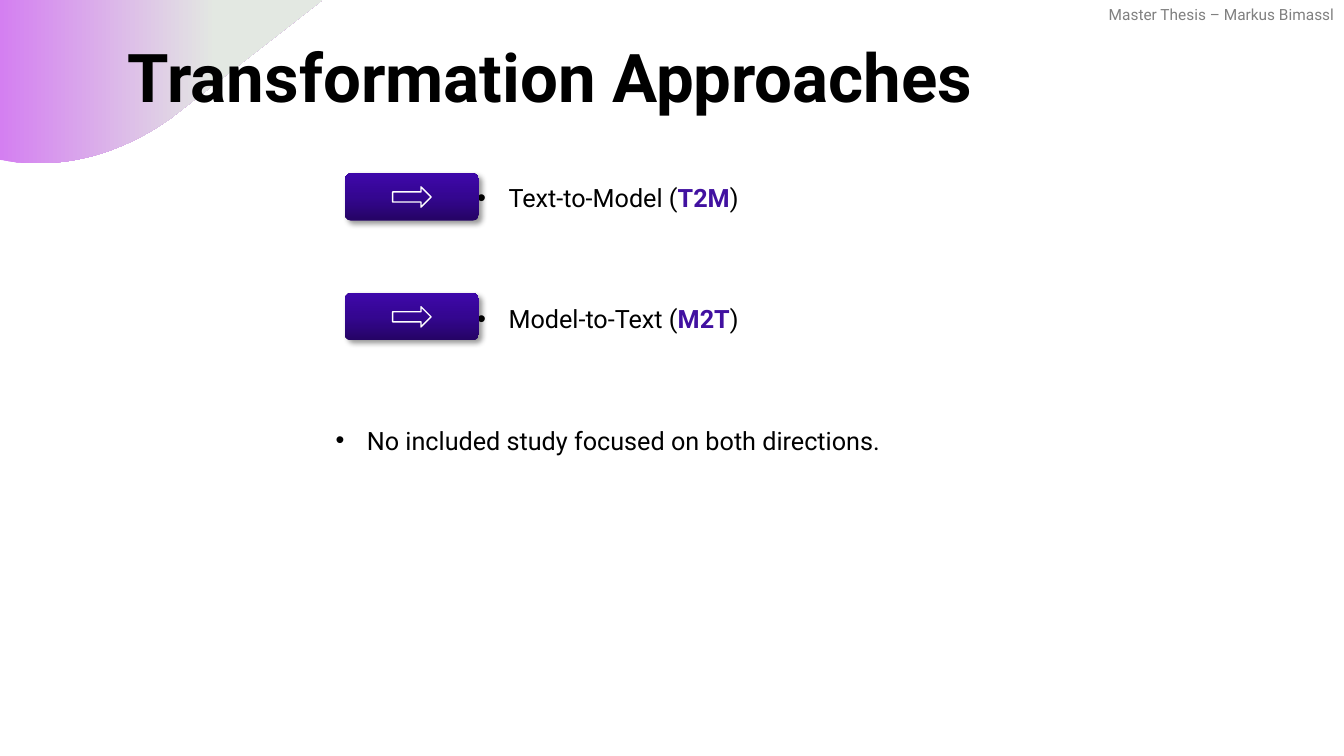
from lxml import etree
from pptx import Presentation
from pptx.dml.color import RGBColor
from pptx.enum.shapes import MSO_SHAPE
from pptx.enum.text import MSO_ANCHOR, MSO_AUTO_SIZE, PP_ALIGN
from pptx.oxml.ns import qn
from pptx.util import Cm, Pt

ROUNDED = MSO_SHAPE.ROUNDED_RECTANGLE
ARROW = MSO_SHAPE.RIGHT_ARROW
LEFT, CENTER, RIGHT = PP_ALIGN.LEFT, PP_ALIGN.CENTER, PP_ALIGN.RIGHT
TOP, BOTTOM = MSO_ANCHOR.TOP, MSO_ANCHOR.BOTTOM
NO_AUTOFIT = MSO_AUTO_SIZE.NONE

FONT = "Roboto"
BLACK, WHITE, GREY, VIOLET = "000000", "FFFFFF", "808080", "4111A0"
CORNER_STOPS = [(0, "D47FF1"), (67, "E3E8E2"), (100, "E3E8E2")]
BADGE_STOPS = [(0, "250465"), (50, "340690"), (100, "3E07AA")]
APPROACHES = [
    [("Text-to-Model (", False), ("T2M", True), (")", False)],
    [("Model-to-Text (", False), ("M2T", True), (")", False)],
    [("No included study focused on both directions.", False)],
]
BADGE_COUNT = 2
ROW_PITCH = 3.02


def color(value):
    """Return the colour for a hex string."""
    return RGBColor.from_string(value)


def place(shape, left, top, width, height):
    """Move and size a shape, in centimetres."""
    shape.left, shape.top = Cm(left), Cm(top)
    shape.width, shape.height = Cm(width), Cm(height)


def style(font, size, value, bold=False):
    """Set the face, size, colour and weight of a font."""
    font.name, font.size, font.bold = FONT, Pt(size), bold
    font.color.rgb = color(value)


def fill_gradient(shape, stops, angle):
    """Fill a shape with a linear gradient of percent and colour stops."""
    shape.fill.gradient()
    shape.fill.gradient_angle = angle
    stop_list = shape._element.spPr.find(".//" + qn("a:gsLst"))
    stop_list.clear()
    for position, value in stops:
        stop = etree.SubElement(stop_list, qn("a:gs"), pos=str(position * 1000))
        etree.SubElement(stop, qn("a:srgbClr"), val=value)


def add_shadow(shape):
    """Give a shape a soft shadow towards the lower right."""
    shape.shadow.inherit = False
    effects = shape._element.spPr.find(qn("a:effectLst"))
    shadow = etree.SubElement(
        effects, qn("a:outerShdw"), blurRad=str(Pt(4)), dist=str(Pt(3)),
        dir="2700000", algn="tl", rotWithShape="0")
    black = etree.SubElement(shadow, qn("a:srgbClr"), val=BLACK)
    etree.SubElement(black, qn("a:alpha"), val="40000")


def add_bullet(paragraph, indent):
    """Add a round bullet with a hanging indent to a paragraph."""
    properties = paragraph._p.get_or_add_pPr()
    properties.set("marL", str(Cm(indent)))
    properties.set("indent", str(-Cm(indent)))
    etree.SubElement(properties, qn("a:buFont"), typeface="Arial")
    etree.SubElement(properties, qn("a:buChar"), char="•")


def curve(start, first, second, end, steps=24):
    """Return points along a cubic curve, without its start."""
    points = []
    for step in range(1, steps + 1):
        t = step / steps
        weights = ((1 - t) ** 3, 3 * t * (1 - t) ** 2, 3 * t * t * (1 - t), t ** 3)
        points.append(tuple(
            sum(weight * value for weight, value in zip(weights, axis))
            for axis in zip(start, first, second, end)))
    return points


def add_corner(slide, left, top, width, height):
    """Draw the rounded gradient corner behind everything else."""
    bend = (0.515 * width, 0.745 * height)
    outline = [(width, 0), (0.53 * width, 0.725 * height), bend]
    outline += curve(bend, (0.4 * width, 0.9 * height),
                     (0.275 * width, 0.99 * height), (0.145 * width, height))
    outline += [(0.1 * width, height), (0.05 * width, 0.995 * height),
                (0, 0.98 * height)]
    builder = slide.shapes.build_freeform(Cm(left), Cm(top))
    builder.add_line_segments(
        [(Cm(left + x), Cm(top + y)) for x, y in outline], close=True)
    corner = builder.convert_to_shape()
    fill_gradient(corner, CORNER_STOPS, 0)
    corner.line.fill.background()
    corner.shadow.inherit = False
    slide.shapes._spTree.insert(2, corner._element)


def add_header(slide, left, top, width, height):
    """Write the running header."""
    header = slide.shapes.add_textbox(Cm(left), Cm(top), Cm(width), Cm(height))
    header.text_frame.word_wrap = False
    header.text_frame.text = "Master Thesis – Markus Bimassl"
    paragraph = header.text_frame.paragraphs[0]
    paragraph.alignment = RIGHT
    style(paragraph.runs[0].font, 11, GREY)


def add_title(slide, left, top, width, height):
    """Write the slide title."""
    title = slide.shapes.title
    place(title, left, top, width, height)
    frame = title.text_frame
    frame.text = "Transformation Approaches"
    frame.vertical_anchor, frame.auto_size = BOTTOM, NO_AUTOFIT
    paragraph = frame.paragraphs[0]
    paragraph.alignment, paragraph.line_spacing = LEFT, 0.9
    style(paragraph.runs[0].font, 48, BLACK, True)


def add_approaches(slide, left, top, width, height):
    """Write the centred list of approaches."""
    body = slide.placeholders[1]
    place(body, left, top, width, height)
    frame = body.text_frame
    frame.vertical_anchor, frame.auto_size = TOP, NO_AUTOFIT
    for index, parts in enumerate(APPROACHES):
        paragraph = frame.add_paragraph() if index else frame.paragraphs[0]
        add_bullet(paragraph, 0.79)
        paragraph.alignment = CENTER
        paragraph.space_before = Pt(65 if index else 0)
        for text, strong in parts:
            run = paragraph.add_run()
            run.text = text
            style(run.font, 18, VIOLET if strong else BLACK, strong)


def add_badge(slide, left, top, width, height):
    """Draw a gradient badge with an outlined arrow in its middle."""
    group = slide.shapes.add_group_shape()
    badge = group.shapes.add_shape(
        ROUNDED, Cm(left), Cm(top), Cm(width), Cm(height))
    badge.adjustments[0] = 0.13
    fill_gradient(badge, BADGE_STOPS, 90)
    badge.line.fill.background()
    add_shadow(badge)
    arrow_width, arrow_height = 0.97, 0.51
    arrow = group.shapes.add_shape(
        ARROW, Cm(left + (width - arrow_width) / 2),
        Cm(top + (height - arrow_height) / 2), Cm(arrow_width), Cm(arrow_height))
    arrow.fill.background()
    arrow.line.color.rgb = color(WHITE)
    arrow.line.width = Pt(1)
    arrow.shadow.inherit = False


def main():
    """Build and save the presentation."""
    presentation = Presentation()
    presentation.slide_width, presentation.slide_height = Cm(33.87), Cm(19.05)
    slide = presentation.slides.add_slide(presentation.slide_layouts[1])
    add_corner(slide, 0, 0, 8.13, 4.11)
    add_header(slide, 27.5, 0, 6.38, 0.74)
    add_title(slide, 2.97, 0.43, 24.69, 2.64)
    add_approaches(slide, 7.7, 4.47, 15.24, 7.19)
    for row in range(BADGE_COUNT):
        add_badge(slide, 8.69, 4.37 + row * ROW_PITCH, 3.38, 1.19)
    presentation.save("out.pptx")


if __name__ == "__main__":
    main()
